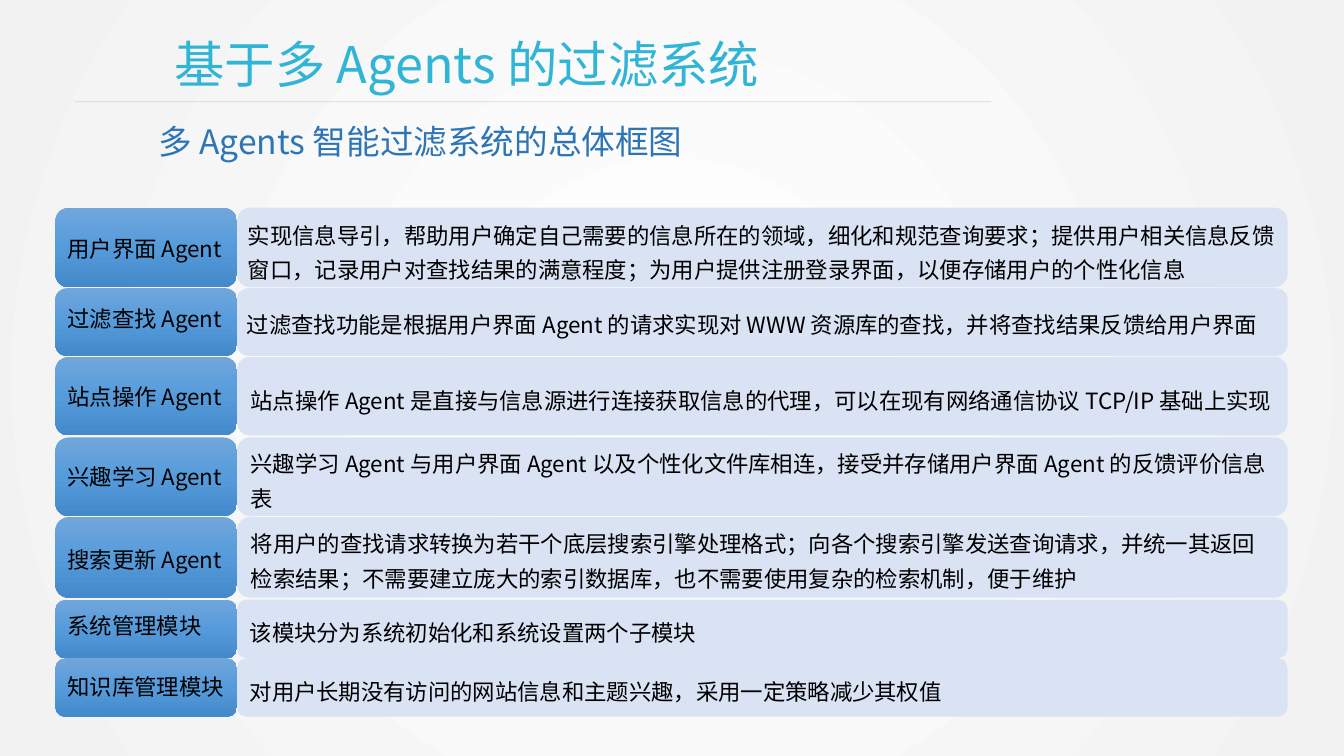
from lxml import etree
from pptx import Presentation
from pptx import util as u
from pptx.dml.color import RGBColor
from pptx.enum import shapes, text
from pptx.oxml.ns import qn

FONT = "Noto Sans CJK SC"
HUES = {
    "ink": "000000", "title": "31B5D6", "sub": "2E75B6", "rule": "4A7EBB",
    "pale": "DAE3F3", "top": "71A6DB", "mid": "559BDB", "low": "448ACA",
    "white": "FFFFFF", "grey": "F2F2F2",
}
# label, top, height, label drop, text, box for loose text (left, top, width, height)
ROWS = [
    ("用户界面 Agent", 2.06, 0.79, 0.22,
     "实现信息导引，帮助用户确定自己需要的信息所在的领域，细化和规范查询要求；"
     "提供用户相关信息反馈窗口，记录用户对查找结果的满意程度；"
     "为用户提供注册登录界面，以便存储用户的个性化信息", (2.36, 2.07, 10.49, 0.77)),
    ("过滤查找 Agent", 2.86, 0.67, 0.12,
     "过滤查找功能是根据用户界面 Agent 的请求实现对 WWW 资源库的查找，"
     "并将查找结果反馈给用户界面", (2.35, 2.96, 10.49, 0.42)),
    ("站点操作 Agent", 3.54, 0.78, 0.21,
     "站点操作 Agent 是直接与信息源进行连接获取信息的代理，"
     "可以在现有网络通信协议 TCP/IP 基础上实现", None),
    ("兴趣学习 Agent", 4.34, 0.78, 0.21,
     "兴趣学习 Agent 与用户界面 Agent 以及个性化文件库相连，"
     "接受并存储用户界面 Agent 的反馈评价信息表", None),
    ("搜索更新 Agent", 5.13, 0.8, 0.24,
     "将用户的查找请求转换为若干个底层搜索引擎处理格式；"
     "向各个搜索引擎发送查询请求，并统一其返回检索结果；"
     "不需要建立庞大的索引数据库，也不需要使用复杂的检索机制，便于维护", None),
    ("系统管理模块", 5.95, 0.58, 0.07, "该模块分为系统初始化和系统设置两个子模块", None),
    ("知识库管理模块", 6.53, 0.58, 0.1,
     "对用户长期没有访问的网站信息和主题兴趣，采用一定策略减少其权值", None),
]


def color(name):
    return RGBColor.from_string(HUES[name])


def place(box):
    return [u.Inches(n) for n in box]


def grade(root, stops, way):
    """Give the gradient fill under root new stops and a new direction element."""
    fill = root.find(".//" + qn("a:gradFill"))
    for part in list(fill):
        fill.remove(part)
    group = etree.SubElement(fill, qn("a:gsLst"))
    for pos, name in stops:
        stop = etree.SubElement(group, qn("a:gs"), pos=str(pos * 1000))
        etree.SubElement(stop, qn("a:srgbClr"), val=HUES[name])
    fill.append(way)


def write(frame, words, size, hue="ink", gap=None, anchor=text.MSO_ANCHOR.TOP):
    frame.word_wrap = True
    frame.auto_size = text.MSO_AUTO_SIZE.NONE
    frame.vertical_anchor = anchor
    para = frame.paragraphs[0]
    para.alignment = text.PP_ALIGN.LEFT
    if gap:
        para.line_spacing = gap
    run = para.add_run()
    run.text = words
    run.font.size = u.Pt(size)
    run.font.name = FONT
    run.font.color.rgb = color(hue)
    latin = run.font._element.find(qn("a:latin"))
    latin.addnext(etree.Element(qn("a:ea"), typeface=FONT))


def note(slide, box, words, size, hue="ink", gap=None):
    frame = slide.shapes.add_textbox(*place(box)).text_frame
    write(frame, words, size, hue, gap)


def panel(slide, box):
    shape = slide.shapes.add_shape(shapes.MSO_SHAPE.ROUNDED_RECTANGLE, *place(box))
    shape.shadow.inherit = False
    shape.line.fill.background()
    return shape


def backdrop(slide):
    slide.background.fill.gradient()
    way = etree.Element(qn("a:path"), path="circle")
    sides = dict.fromkeys("ltrb", "50000")
    etree.SubElement(way, qn("a:fillToRect"), **sides)
    grade(slide._element, [(0, "white"), (100, "grey")], way)


def header(slide, box):
    left, top, width, high = box
    title = slide.shapes.title
    title.left, title.top, title.width, title.height = place(
        (left + 0.89, top, 11.4, 0.71))
    write(title.text_frame, "基于多 Agents 的过滤系统", 36, "title")
    rule = slide.shapes.add_connector(
        shapes.MSO_CONNECTOR.STRAIGHT,
        *place((left, top + 0.73, left + width, top + 0.73)))
    rule.line.width = u.Pt(0.5)
    rule.line.color.rgb = color("rule")
    etree.SubElement(rule._element.spPr, qn("a:effectLst"))
    hue = rule._element.spPr.find(".//" + qn("a:srgbClr"))
    etree.SubElement(hue, qn("a:alpha"), val="25000")
    note(slide, (left + 0.73, top + high - 0.5, 8.36, 0.5),
         "多 Agents 智能过滤系统的总体框图", 24, "sub")


def module(slide, box, label, drop, words, loose):
    """Draw one row: a blue name box and the pale box that explains it."""
    left, top, width, high = box
    side = 1.8
    pale = panel(slide, (left + side, top, width - side, high))
    pale.fill.solid()
    pale.fill.fore_color.rgb = color("pale")
    if loose:
        note(slide, loose, words, 16, gap=1.3)
    else:
        write(pale.text_frame, words, 16, gap=1.3, anchor=text.MSO_ANCHOR.MIDDLE)
    key = panel(slide, (left, top, side, high))
    key.fill.gradient()
    way = etree.Element(qn("a:lin"), ang="5400000", scaled="0")
    grade(key._element, [(0, "top"), (50, "mid"), (100, "low")], way)
    note(slide, (left + 0.02, top + drop, 1.88, 0.37), label, 16)


def main():
    deck = Presentation()
    deck.slide_width, deck.slide_height = place((13.33, 7.5))
    slide = deck.slides.add_slide(deck.slide_layouts[5])
    backdrop(slide)
    header(slide, (0.74, 0.28, 9.09, 1.37))
    for label, top, high, drop, words, loose in ROWS:
        module(slide, (0.55, top, 12.22, high), label, drop, words, loose)
    deck.save("out.pptx")


if __name__ == "__main__":
    main()
